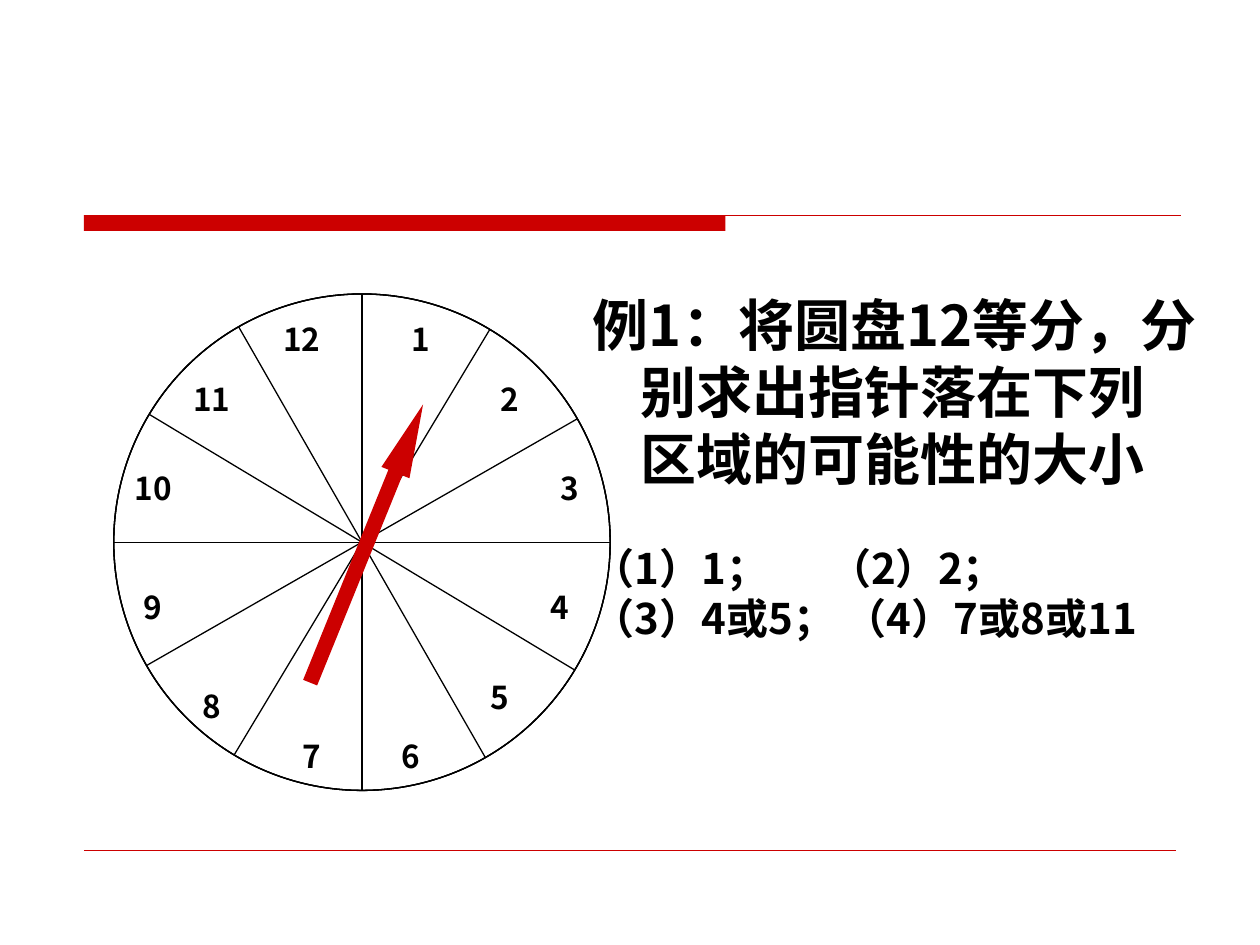
from lxml.etree import SubElement
from pptx import Presentation
from pptx.dml.color import RGBColor
from pptx.enum.shapes import MSO_CONNECTOR, MSO_SHAPE
from pptx.enum.text import MSO_AUTO_SIZE, PP_ALIGN
from pptx.oxml.ns import qn
from pptx.util import Pt

RED = RGBColor(0xCC, 0x00, 0x00)
BLACK = RGBColor(0x00, 0x00, 0x00)
FONT = "Noto Sans CJK SC"


class SlideBuilder:
    def __init__(self, slide):
        self.slide = slide

    def shape(self, preset, left, top, width, height, fill=None, line=None,
              rotation=0, parent=None):
        shapes = (parent or self.slide).shapes
        item = shapes.add_shape(preset, Pt(left), Pt(top), Pt(width), Pt(height))
        item.shadow.inherit = False
        item.rotation = rotation
        if fill is None:
            item.fill.background()
        else:
            item.fill.solid()
            item.fill.fore_color.rgb = fill
        if line is None:
            item.line.fill.background()
        else:
            item.line.color.rgb = line
            item.line.width = Pt(0.75)
        return item

    def rule(self, left, right, y, weight):
        rule = self.slide.shapes.add_connector(
            MSO_CONNECTOR.STRAIGHT, Pt(left), Pt(y), Pt(right), Pt(y))
        rule.line.color.rgb = RED
        rule.line.width = Pt(weight)
        SubElement(rule._element.spPr, qn("a:effectLst"))

    def text_box(self, left, top, width, height, wrap):
        box = self.slide.shapes.add_textbox(Pt(left), Pt(top), Pt(width), Pt(height))
        box.text_frame.word_wrap = wrap
        return box.text_frame

    def style(self, paragraph, size):
        font = paragraph.font
        font.name, font.size, font.bold = FONT, Pt(size), True
        font.color.rgb = BLACK
        SubElement(font._element, qn("a:ea"), typeface=FONT)

    def label(self, text, left, top):
        frame = self.text_box(left, top, 23, 22.5, False)
        frame.margin_left = frame.margin_right = 0
        paragraph = frame.paragraphs[0]
        paragraph.text = text
        paragraph.alignment = PP_ALIGN.CENTER
        self.style(paragraph, 18)

    def hanging_text(self, left, top, width, height, entries, indent, tab):
        frame = self.text_box(left, top, width, height, True)
        frame.auto_size = MSO_AUTO_SIZE.SHAPE_TO_FIT_TEXT
        for index, (text, size, space_before) in enumerate(entries):
            paragraph = frame.add_paragraph() if index else frame.paragraphs[0]
            paragraph.text = text
            paragraph.space_before = Pt(space_before)
            properties = paragraph._p.get_or_add_pPr()
            properties.set("marL", str(Pt(indent)))
            properties.set("indent", str(-Pt(indent)))
            tabs = SubElement(properties, qn("a:tabLst"))
            SubElement(tabs, qn("a:tab"), pos=str(Pt(tab)), algn="l")
            self.style(paragraph, size)


def main():
    deck = Presentation()
    deck.slide_width, deck.slide_height = Pt(720), Pt(540)
    builder = SlideBuilder(deck.slides.add_slide(deck.slide_layouts[6]))

    # Header bar and rules
    builder.shape(MSO_SHAPE.RECTANGLE, 48, 123, 366.5, 9, fill=RED)
    builder.rule(48, 675, 123.25, 0.75)
    builder.rule(48, 672, 486, 0.25)

    # Disc in twelve sectors: three crossed circles
    disc = builder.slide.shapes.add_group_shape()
    for rotation in (0, 31, 60.2):
        builder.shape(MSO_SHAPE.FLOWCHART_OR, 65, 168, 283.7, 283.7,
                      line=BLACK, rotation=rotation, parent=disc)

    # Sector numbers, clockwise from the top
    sector_corners = [
        (229, 179.5), (280, 213.5), (314, 264.5), (308.5, 332.5),
        (274, 384), (223, 417.5), (166.5, 417.5), (109.5, 389),
        (76, 332.5), (76, 264.5), (109.5, 213.5), (161, 179.5),
    ]
    for number, (left, top) in enumerate(sector_corners, start=1):
        builder.label(str(number), left, top)

    # Pointer
    pointer = builder.shape(MSO_SHAPE.RIGHT_ARROW, 123.75, 302, 171.5, 17.25,
                            fill=RED, rotation=292.1)
    pointer.adjustments[0] = 0.5
    pointer.adjustments[1] = 2.43

    # Question and its parts
    question = [
        ("例1：将圆盘12等分，分别求出指针落在下列区域的可能性的大小", 32, 0),
        ("（1）1；\t（2）2；", 24, 29),
        ("（3）4或5； （4）7或8或11", 24, 0),
    ]
    builder.hanging_text(331.75, 162.25, 360, 276.5, question, indent=27, tab=143)

    deck.save("out.pptx")


if __name__ == "__main__":
    main()
